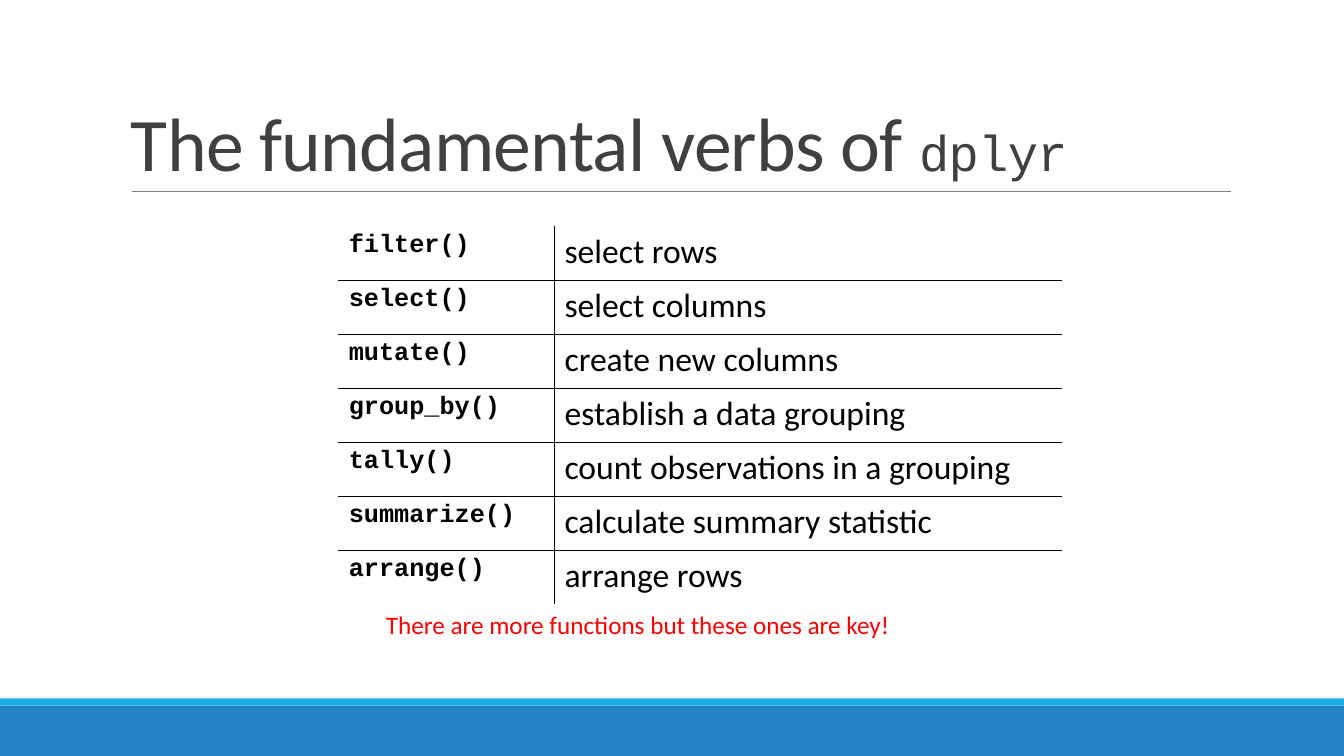
from typing import NamedTuple

from lxml import etree
from pptx import Presentation
from pptx.dml.color import RGBColor
from pptx.enum import shapes, text
from pptx.oxml import ns
from pptx.util import Inches, Pt

COLORS = {
    "footer": "2683C6",
    "accent": "1CADE4",
    "rule": "808080",
    "title": "404040",
    "ink": "000000",
    "paper": "FFFFFF",
    "note": "FF0000",
}
BODY_FONT = "Calibri"
CODE_FONT = "Courier New"


class Bar(NamedTuple):
    top: float
    height: float
    color: str


class Verb(NamedTuple):
    function: str
    meaning: str


class TextStyle(NamedTuple):
    font: str
    size: float
    color: str
    bold: bool = False


BARS = [Bar(7, 0.5, "footer"), Bar(6.93, 0.07, "accent")]
VERBS = [
    Verb("filter()", "select rows"),
    Verb("select()", "select columns"),
    Verb("mutate()", "create new columns"),
    Verb("group_by()", "establish a data grouping"),
    Verb("tally()", "count observations in a grouping"),
    Verb("summarize()", "calculate summary statistic"),
    Verb("arrange()", "arrange rows"),
]
COLUMN_WIDTHS = [2.14, 5.03]
COLUMN_STYLES = [TextStyle(CODE_FONT, 18, "ink", True), TextStyle(BODY_FONT, 24, "ink")]
ROW_HEIGHT = 3.75 / len(VERBS)


def rgb(name: str) -> RGBColor:
    return RGBColor.from_string(COLORS[name])


def apply_style(font, style: TextStyle) -> None:
    font.name = style.font
    font.size = Pt(style.size)
    font.bold = style.bold
    font.color.rgb = rgb(style.color)


def add_bar(slide, bar: Bar, width: int) -> None:
    shape = slide.shapes.add_shape(
        shapes.MSO_SHAPE.RECTANGLE, 0, Inches(bar.top), width, Inches(bar.height))
    shape.shadow.inherit = False
    shape.fill.solid()
    shape.fill.fore_color.rgb = rgb(bar.color)
    shape.line.fill.background()


def add_title_rule(slide) -> None:
    rule = slide.shapes.add_connector(
        shapes.MSO_CONNECTOR.STRAIGHT, Inches(1.31), Inches(1.9), Inches(12.21), Inches(1.9))
    rule.line.color.rgb = rgb("rule")
    rule.line.width = Pt(0.5)
    etree.SubElement(rule.element.spPr, ns.qn("a:effectLst"))


def add_text_box(slide, left: float, top: float, width: float, height: float):
    box = slide.shapes.add_textbox(Inches(left), Inches(top), Inches(width), Inches(height))
    box.text_frame.word_wrap = True
    return box.text_frame


def add_title(slide) -> None:
    frame = add_text_box(slide, 1.2, 0.31, 11, 1.59)
    frame.vertical_anchor = text.MSO_ANCHOR.BOTTOM
    paragraph = frame.paragraphs[0]
    paragraph.line_spacing = 0.85
    for words, style in [
        ("The fundamental verbs of ", TextStyle(BODY_FONT, 54, "title")),
        ("dplyr", TextStyle(CODE_FONT, 36, "title")),
    ]:
        run = paragraph.add_run()
        run.text = words
        apply_style(run.font, style)
        run.font._element.set("spc", "-50")


def set_borders(cell, colors: dict[str, str]) -> None:
    """Draw 1 pt borders; the sides L, R, T, B must come in that order."""
    properties = cell._tc.get_or_add_tcPr()
    for side, color in colors.items():
        line = etree.SubElement(properties, ns.qn(f"a:ln{side}"), w=str(Pt(1)))
        fill = etree.SubElement(line, ns.qn("a:solidFill"))
        etree.SubElement(fill, ns.qn("a:srgbClr"), val=COLORS[color])


def add_verb_table(slide) -> None:
    table = slide.shapes.add_table(
        len(VERBS), len(COLUMN_WIDTHS), Inches(3.36), Inches(2.25),
        Inches(sum(COLUMN_WIDTHS)), Inches(ROW_HEIGHT * len(VERBS))).table
    table.first_row = table.horz_banding = False
    for column, width in zip(table.columns, COLUMN_WIDTHS):
        column.width = Inches(width)

    last_row, last_column = len(VERBS) - 1, len(COLUMN_WIDTHS) - 1
    for row_index, verb in enumerate(VERBS):
        table.rows[row_index].height = Inches(ROW_HEIGHT)
        for column_index, (words, style) in enumerate(zip(verb, COLUMN_STYLES)):
            cell = table.cell(row_index, column_index)
            cell.text = words
            apply_style(cell.text_frame.paragraphs[0].font, style)
            outer_sides = {
                "L": column_index == 0,
                "R": column_index == last_column,
                "T": row_index == 0,
                "B": row_index == last_row,
            }
            set_borders(cell, {side: "paper" if outer else "ink"
                               for side, outer in outer_sides.items()})
            cell.fill.background()


def add_note(slide) -> None:
    frame = add_text_box(slide, 3.73, 6, 5.94, 0.4)
    frame.auto_size = text.MSO_AUTO_SIZE.SHAPE_TO_FIT_TEXT
    paragraph = frame.paragraphs[0]
    paragraph.text = "There are more functions but these ones are key!"
    apply_style(paragraph.font, TextStyle(BODY_FONT, 18, "note"))


def main() -> None:
    presentation = Presentation()
    presentation.slide_width = Inches(13.33)
    presentation.slide_height = Inches(7.5)
    slide = presentation.slides.add_slide(presentation.slide_layouts[6])
    for bar in BARS:
        add_bar(slide, bar, presentation.slide_width)
    add_title_rule(slide)
    add_title(slide)
    add_verb_table(slide)
    add_note(slide)
    presentation.save("out.pptx")


if __name__ == "__main__":
    main()
